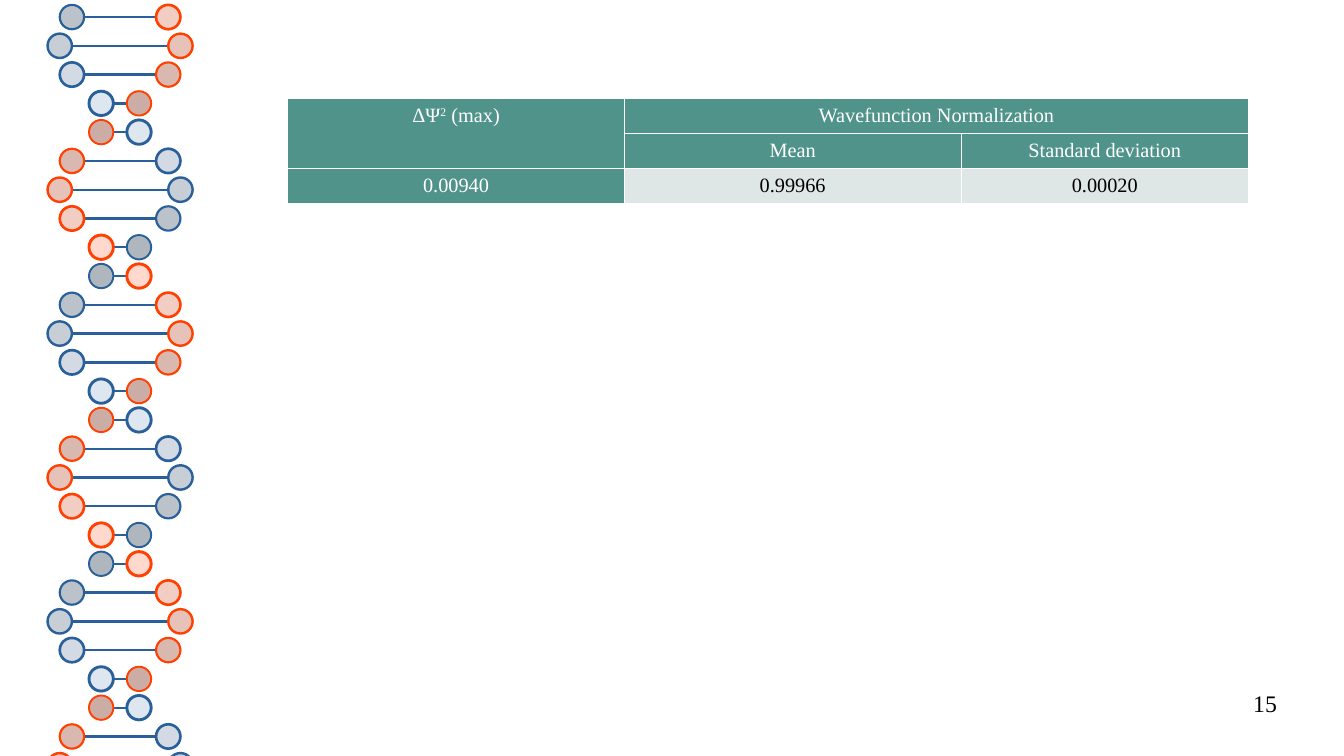
from lxml import etree
from pptx import Presentation
from pptx.dml.color import RGBColor
from pptx.enum.shapes import MSO_CONNECTOR as Connector, MSO_SHAPE as Shape
from pptx.enum.text import PP_ALIGN as Align
from pptx.oxml.ns import qn
from pptx.util import Inches, Pt

FONT = "Times New Roman"
COLORS = {
    "blue": "2A6099", "orange": "FF4000", "teal": "50938A",
    "pale": "DEE7E5", "white": "FFFFFF", "black": "000000",
}

# Helix: bead tones from far to near, and one full turn of ten rungs
BLUE_FILLS = ["AFB6BD", "BCC2C9", "C7CED6", "D3DAE3", "DEE6EF"]
ORANGE_FILLS = ["CCADA5", "D9B8AF", "E6C2B9", "F2CDC4", "FFD8CE"]
BEAD_WIDTHS = [1.13, 1.28, 1.42, 1.56, 1.7]
BLUE_LEFTS = [0.49, 0.39, 0.49, 0.73, 1.04, 1.28, 1.38, 1.28, 1.04, 0.73]
BLUE_TONES = [1, 2, 3, 4, 4, 3, 2, 1, 0, 0]
BEAD = 0.2
MIRROR = 1.77  # sum of the left edges of a bead pair
TOP, PITCH, BEAD_ROWS = 0.04, 0.236, 27


def rgb(name):
    return RGBColor.from_string(COLORS.get(name, name))


def add_rung(page, start, end, y):
    rung = page.shapes.add_connector(
        Connector.STRAIGHT, Inches(start), Inches(y), Inches(end), Inches(y))
    rung.line.color.rgb = rgb("blue")
    rung.line.width = Pt(1.42)
    etree.SubElement(rung._element.spPr, qn("a:effectLst"))


def add_bead(page, left, top, fill, line, width):
    bead = page.shapes.add_shape(
        Shape.OVAL, Inches(left), Inches(top), Inches(BEAD), Inches(BEAD))
    bead.shadow.inherit = False
    bead.fill.solid()
    bead.fill.fore_color.rgb = rgb(fill)
    bead.line.color.rgb = rgb(line)
    bead.line.width = Pt(width)


def add_helix(page):
    rows = []
    for index in range(BEAD_ROWS):
        step = index % len(BLUE_LEFTS)
        blue = BLUE_LEFTS[step]
        rows.append((TOP + index * PITCH, blue, MIRROR - blue, BLUE_TONES[step]))

    # Rungs lie behind the beads; the last row is cut off by the slide edge
    for top, blue, orange, _ in rows[:-1]:
        add_rung(page, min(blue, orange) + BEAD, max(blue, orange), top + BEAD / 2)
    for top, blue, orange, tone in rows:
        far = 4 - tone
        add_bead(page, blue, top, BLUE_FILLS[tone], "blue", BEAD_WIDTHS[tone])
        add_bead(page, orange, top, ORANGE_FILLS[far], "orange", BEAD_WIDTHS[far])


def add_span(para, text, size, color, raised=False):
    span = para.add_run()
    span.text = text
    span.font.name = FONT
    span.font.size = Pt(size)
    span.font.color.rgb = rgb(color)
    if raised:
        span.font._element.set("baseline", "33000")


def set_borders(cell):
    props = cell._tc.get_or_add_tcPr()
    for side in ("lnL", "lnR", "lnT", "lnB"):
        border = etree.SubElement(props, qn(f"a:{side}"), w=str(Pt(0.57)))
        fill = etree.SubElement(border, qn("a:solidFill"))
        etree.SubElement(fill, qn("a:srgbClr"), val=COLORS["white"])


def style_cell(cell, fill):
    set_borders(cell)
    cell.fill.solid()
    cell.fill.fore_color.rgb = rgb(fill)
    cell.margin_left = cell.margin_right = Inches(0.04)
    cell.margin_top = cell.margin_bottom = Inches(0.05)


def add_results_table(page):
    rows = [
        [["ΔΨ", "2", " (max)"], ["Wavefunction Normalization"], []],
        [[], ["Mean"], ["Standard deviation"]],
        [["0.00940"], ["0.99966"], ["0.00020"]],
    ]
    table = page.shapes.add_table(
        3, 3, Inches(2.36), Inches(0.81), Inches(7.87), Inches(0.79)).table
    table.horz_banding = False
    for column, width in zip(table.columns, (2.76, 2.76, 2.36)):
        column.width = Inches(width)
    for row in table.rows:
        row.height = Inches(0.26)

    for r, row in enumerate(rows):
        for c, texts in enumerate(row):
            cell = table.cell(r, c)
            is_value = r == 2 and c > 0
            style_cell(cell, "pale" if is_value else "teal")
            para = cell.text_frame.paragraphs[0]
            para.alignment = Align.CENTER
            para.font.size = Pt(12)
            for text in texts:
                add_span(para, text, 12, "black" if is_value else "white",
                         raised=text == "2")
    table.cell(0, 0).merge(table.cell(1, 0))
    table.cell(0, 1).merge(table.cell(0, 2))


def add_page_number(page, number):
    box = page.shapes.add_textbox(
        Inches(7.9), Inches(5.65), Inches(2.57), Inches(0.43))
    frame = box.text_frame
    frame.word_wrap = True
    frame.margin_left = frame.margin_right = Inches(0)
    frame.margin_top = frame.margin_bottom = Inches(0)
    para = frame.paragraphs[0]
    para.alignment = Align.RIGHT
    add_span(para, number, 14, "black")


def main():
    deck = Presentation()
    deck.slide_width = Inches(11.02)
    deck.slide_height = Inches(6.2)
    page = deck.slides.add_slide(deck.slide_layouts[6])
    add_helix(page)
    add_results_table(page)
    add_page_number(page, "15")
    deck.save("out.pptx")


if __name__ == "__main__":
    main()
